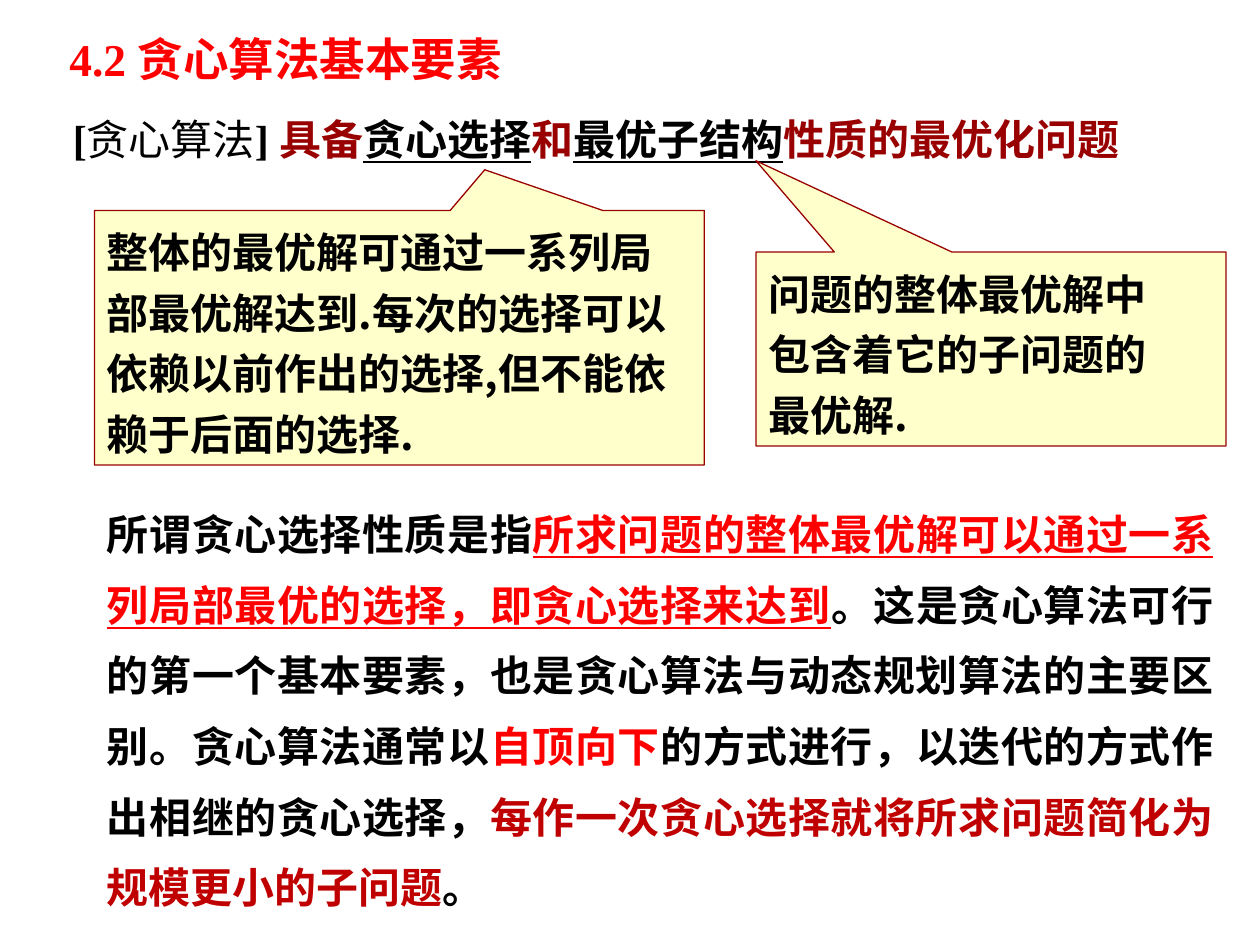
from lxml.etree import SubElement
from pptx import Presentation
from pptx.dml.color import RGBColor
from pptx.enum.shapes import MSO_SHAPE
from pptx.enum.text import MSO_ANCHOR, MSO_AUTO_SIZE, PP_ALIGN
from pptx.oxml.ns import qn
from pptx.util import Inches, Pt

COLORS = {
    "black": "000000",
    "red": "FF0000",
    "crimson": "C00000",
    "maroon": "990000",
    "cream": "FFFFCC",
}
SERIF = "Times New Roman"
SANS = "Noto Sans CJK SC"
BODY = "Cambria"


def rgb(name):
    """Return the named palette colour."""
    return RGBColor.from_string(COLORS[name])


def add_span(para, text, font=SANS, color="black", size=24, bold=True, underline=False):
    """Add one formatted run to a paragraph."""
    span = para.add_run()
    span.text = text
    span.font.name = font
    span.font.size = Pt(size)
    span.font.bold = bold
    span.font.underline = underline
    span.font.color.rgb = rgb(color)
    SubElement(span.font._element, qn("a:ea")).set("typeface", SANS)


def set_frame(shape, anchor=MSO_ANCHOR.MIDDLE):
    """Prepare the text frame of a shape and return it."""
    frame = shape.text_frame
    frame.word_wrap = True
    frame.auto_size = MSO_AUTO_SIZE.SHAPE_TO_FIT_TEXT
    frame.vertical_anchor = anchor
    return frame


def set_para(para, line_spacing, alignment=PP_ALIGN.LEFT):
    """Set the spacing and alignment of a paragraph and return it."""
    para.line_spacing = line_spacing
    para.space_before = Pt(0)
    para.alignment = alignment
    return para


def place_title(page, left, top, width, height):
    """Place the section heading in the title placeholder."""
    title = page.shapes.title
    title.left, title.top, title.width, title.height = left, top, width, height
    para = set_para(set_frame(title).paragraphs[0], 1.4)
    add_span(para, "4.2 贪心算法基本要素", SERIF, "red", 26)


def add_definition(page, left, top, width, height):
    """Add the one-line definition of greedy algorithms."""
    box = page.shapes.add_textbox(left, top, width, height)
    para = set_para(set_frame(box).paragraphs[0], 1.2)
    add_span(para, "[", SERIF)
    add_span(para, "贪心算法", SERIF, bold=False)
    add_span(para, "] ", SERIF)
    add_span(para, "具备", color="maroon")
    add_span(para, "贪心选择", underline=True)
    add_span(para, "和", color="maroon")
    add_span(para, "最优子结构", underline=True)
    add_span(para, "性质的最优化问题", color="maroon")


def add_callout(page, left, top, width, height, tip, lines):
    """Add a callout whose tip is given relative to its centre."""
    callout = page.shapes.add_shape(
        MSO_SHAPE.RECTANGULAR_CALLOUT, left, top, width, height)
    callout.adjustments[0], callout.adjustments[1] = tip
    callout.shadow.inherit = False
    callout.fill.solid()
    callout.fill.fore_color.rgb = rgb("cream")
    callout.line.color.rgb = rgb("maroon")
    callout.line.width = Pt(0.75)
    frame = set_frame(callout)
    for index, line in enumerate(lines):
        para = frame.add_paragraph() if index else frame.paragraphs[0]
        add_span(set_para(para, 1.2), line)


def add_explanation(page, left, top, width, height):
    """Add the justified paragraph on the greedy-choice property."""
    box = page.shapes.add_textbox(left, top, width, height)
    frame = set_frame(box, MSO_ANCHOR.TOP)
    para = set_para(frame.paragraphs[0], 1.4, PP_ALIGN.JUSTIFY)
    spans = [
        ("所谓贪心选择性质是指", "black", False),
        ("所求问题的整体最优解可以通过一系列局部最优的选择，即贪心选择来达到", "red", True),
        ("。这是贪心算法可行的第一个基本要素，也是贪心算法与动态规划算法的主要区别。"
         "贪心算法通常以", "black", False),
        ("自顶向下", "red", False),
        ("的方式进行，以迭代的方式作出相继的贪心选择，", "black", False),
        ("每作一次贪心选择就将所求问题简化为规模更小的子问题", "crimson", False),
        ("。", "black", False),
    ]
    for text, color, underline in spans:
        add_span(para, text, BODY, color, underline=underline)


def main():
    """Build the slide and save the deck."""
    deck = Presentation()
    deck.slide_width, deck.slide_height = Inches(10), Inches(7.5)
    page = deck.slides.add_slide(deck.slide_layouts[5])
    place_title(page, Inches(0.45), Inches(0.02), Inches(4), Inches(0.71))
    add_definition(page, Inches(0.48), Inches(0.77), Inches(9.17), Inches(0.58))
    add_callout(
        page, Inches(0.75), Inches(1.67), Inches(4.84), Inches(2.02), (0.14, -0.66),
        ["整体的最优解可通过一系列局部最优解达到.每次的选择可以依赖以前作出的选择,"
         "但不能依赖于后面的选择."])
    add_callout(
        page, Inches(6), Inches(2), Inches(3.73), Inches(1.54), (-0.5, -0.97),
        ["问题的整体最优解中", "包含着它的子问题的", "最优解."])
    add_explanation(page, Inches(0.75), Inches(3.83), Inches(8.98), Inches(3.46))
    deck.save("out.pptx")


if __name__ == "__main__":
    main()
